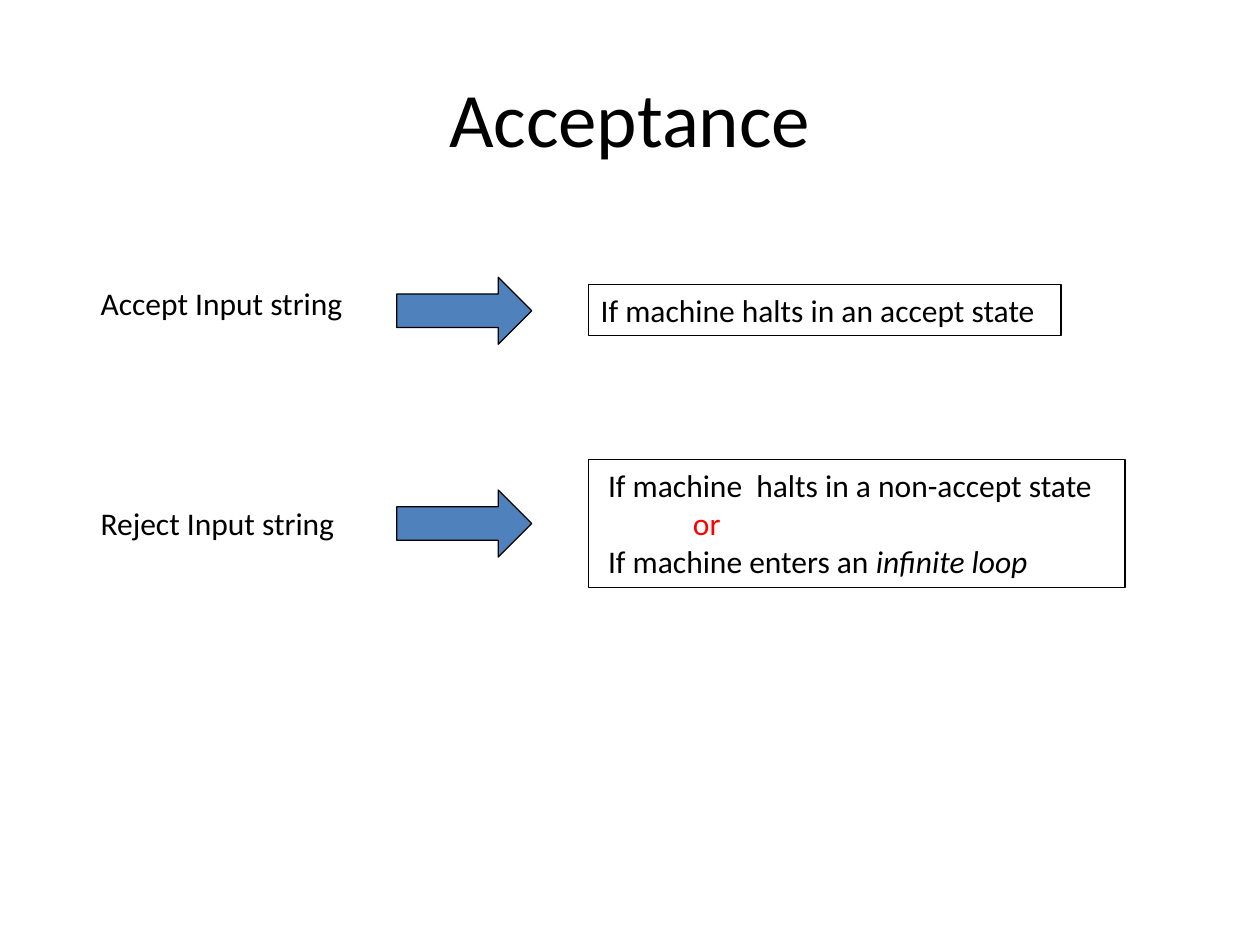
"""Build the slide on when a machine accepts or rejects its input."""
import pptx
import pptx.dml.color
import pptx.enum.shapes
import pptx.enum.text
import pptx.util

Cm = pptx.util.Cm
Pt = pptx.util.Pt
KIND = pptx.enum.shapes.MSO_SHAPE
ALIGN = pptx.enum.text.PP_ALIGN
ANCHOR = pptx.enum.text.MSO_ANCHOR
BLACK = pptx.dml.color.RGBColor(0x00, 0x00, 0x00)
RED = pptx.dml.color.RGBColor(0xFF, 0x00, 0x00)
BLUE = pptx.dml.color.RGBColor(0x4F, 0x81, 0xBD)


def write(shape, lines, size=18, align=ALIGN.LEFT, anchor=ANCHOR.TOP, wrap=False):
    frame = shape.text_frame
    frame.word_wrap = wrap
    frame.vertical_anchor = anchor
    for row, (indent, parts) in enumerate(lines):
        para = frame.add_paragraph() if row else frame.paragraphs[0]
        para.alignment = align
        if indent:
            para._p.get_or_add_pPr().set("marL", str(Cm(indent)))
        for text, color, slanted in parts:
            run = para.add_run()
            run.text = text
            run.font.name = "Calibri"
            run.font.size = Pt(size)
            run.font.color.rgb = color
            run.font.italic = slanted


def draw(kind, left, top, width, height, fill=None):
    shape = slide.shapes.add_shape(kind, Cm(left), Cm(top), Cm(width), Cm(height))
    shape.shadow.inherit = False
    if fill is None:
        shape.fill.background()
    else:
        shape.fill.solid()
        shape.fill.fore_color.rgb = fill
    shape.line.color.rgb = BLACK
    shape.line.width = Pt(0.75)
    return shape


deck = pptx.Presentation()
deck.slide_width = Cm(25.4)
deck.slide_height = Cm(19.05)
slide = deck.slides.add_slide(deck.slide_layouts[6])

title = slide.shapes.add_textbox(Cm(1.27), Cm(0.76), Cm(22.86), Cm(3.18))
write(title, [(0, [("Acceptance", BLACK, None)])], 44, ALIGN.CENTER, ANCHOR.MIDDLE, True)

accept = [(0, [("If machine halts in an accept state", BLACK, None)])]
reject = [
    (0.15, [("If machine  halts in a non-accept state", BLACK, None)]),
    (1.86, [("or", RED, None)]),
    (0.15, [("If machine enters an ", BLACK, None), ("infinite loop", BLACK, True)]),
]
cases = [
    ("Accept Input string", 5.61, 5.44, 5.59, accept, (5.74, 9.53, 1.02), False),
    ("Reject Input string", 10.03, 5.28, 9.88, reject, (9.27, 10.82, 2.57), True),
]
for name, top, width, point, lines, (edge, wide, high), wrap in cases:
    label = slide.shapes.add_textbox(Cm(1.78), Cm(top), Cm(width), Cm(1.02))
    write(label, [(0, [(name, BLACK, None)])])
    draw(KIND.RIGHT_ARROW, 8, point, 2.72, 1.35, BLUE)
    box = draw(KIND.RECTANGLE, 11.86, edge, wide, high)
    write(box, lines, wrap=wrap)

deck.save("out.pptx")
